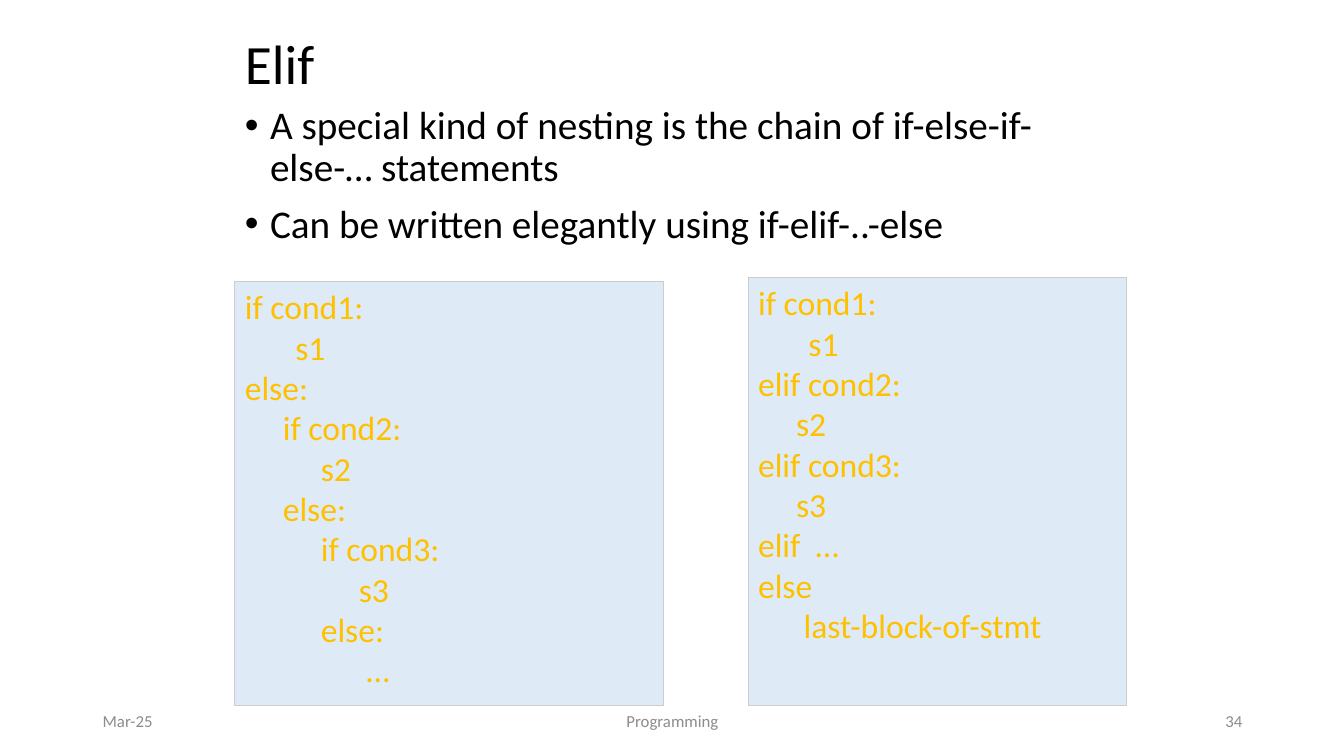
from lxml import etree
from pptx import Presentation
from pptx.dml.color import RGBColor
from pptx.enum import shapes, text
from pptx.oxml.ns import qn
from pptx.util import Inches, Pt

LEFT, CENTER, RIGHT = text.PP_ALIGN.LEFT, text.PP_ALIGN.CENTER, text.PP_ALIGN.RIGHT
TOP, MIDDLE = text.MSO_ANCHOR.TOP, text.MSO_ANCHOR.MIDDLE


def color(value):
    return RGBColor.from_string(value)


def write(box, lines, size, ink, align=LEFT, anchor=TOP):
    frame = box.text_frame
    frame.word_wrap = True
    frame.vertical_anchor = anchor
    frame.text = "\n".join(lines)
    for para in frame.paragraphs:
        para.alignment = align
        for span in para.runs:
            span.font.name = "Calibri"
            span.font.size = Pt(size)
            span.font.color.rgb = color(ink)
    return frame.paragraphs


deck = Presentation()
deck.slide_width, deck.slide_height = Inches(13.33), Inches(7.5)
page = deck.slides.add_slide(deck.slide_layouts[6])

# Title
title = page.shapes.add_textbox(Inches(2.33), Inches(0.33), Inches(8.5), Inches(0.67))
write(title, ["Elif"], 39.6, "000000", anchor=MIDDLE)[0].line_spacing = 0.9

# Bullet points
points = page.shapes.add_textbox(Inches(2.33), Inches(1), Inches(8.75), Inches(2))
point_lines = [
    "A special kind of nesting is the chain of if-else-if-else-… statements",
    "Can be written elegantly using if-elif-..-else",
]
for index, para in enumerate(write(points, point_lines, 28, "000000")):
    para.line_spacing = 0.9
    para.space_before = Pt(10 if index else 0)
    props = para._p.get_or_add_pPr()
    props.set("marL", str(Inches(0.25)))
    props.set("indent", str(Inches(-0.25)))
    etree.SubElement(props, qn("a:buFont"), typeface="Arial")
    etree.SubElement(props, qn("a:buChar"), char="•")

# Footer: date, course, page number
for left, width, label, align in [
    (0.92, 3, "Mar-25", LEFT),
    (4.42, 4.5, "Programming", CENTER),
    (9.42, 3, "34", RIGHT),
]:
    footer = page.shapes.add_textbox(Inches(left), Inches(6.95), Inches(width), Inches(0.4))
    write(footer, [label], 12, "8C8C8C", align, MIDDLE)

# Code panels: elif chain on the right, nested form on the left
elif_code = [
    "if cond1:",
    "\ts1",
    "elif cond2:",
    "     s2",
    "elif cond3:",
    "     s3",
    "elif  …",
    "else",
    "      last-block-of-stmt",
]
nested_code = [
    "if cond1:",
    "\ts1",
    "else:",
    "     if cond2:",
    "          s2",
    "     else:",
    "          if cond3:",
    "               s3",
    "          else:",
    "                …",
]
for left, top, width, height, code in [
    (7.42, 2.75, 3.75, 4.25, elif_code),
    (2.33, 2.79, 4.25, 4.21, nested_code),
]:
    panel = page.shapes.add_shape(
        shapes.MSO_SHAPE.RECTANGLE, Inches(left), Inches(top), Inches(width), Inches(height)
    )
    panel.shadow.inherit = False
    panel.fill.solid()
    panel.fill.fore_color.rgb = color("DEEBF7")
    panel.line.color.rgb = color("CCCCCC")
    panel.line.width = Pt(0.75)
    write(panel, code, 24, "FFC000")

deck.save("out.pptx")
